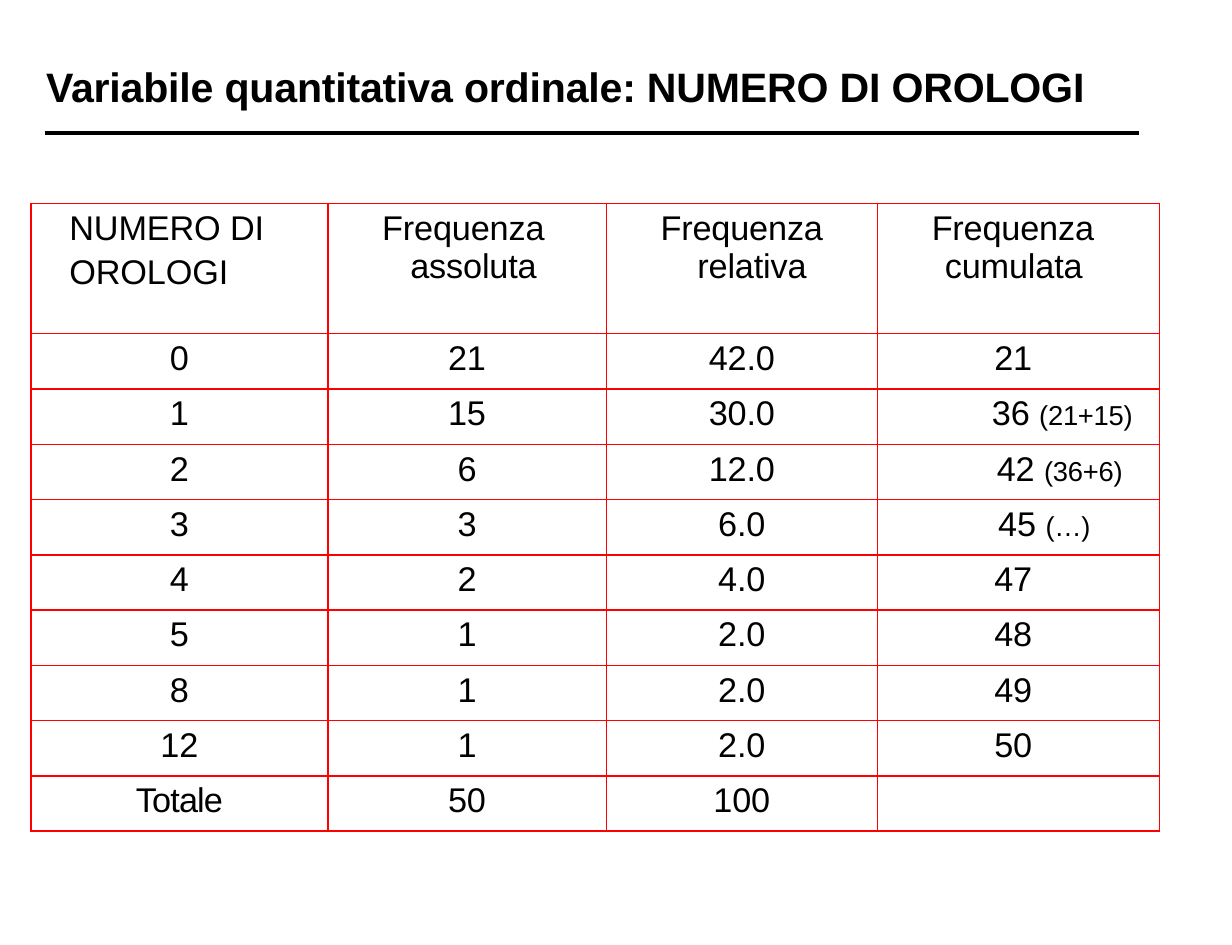
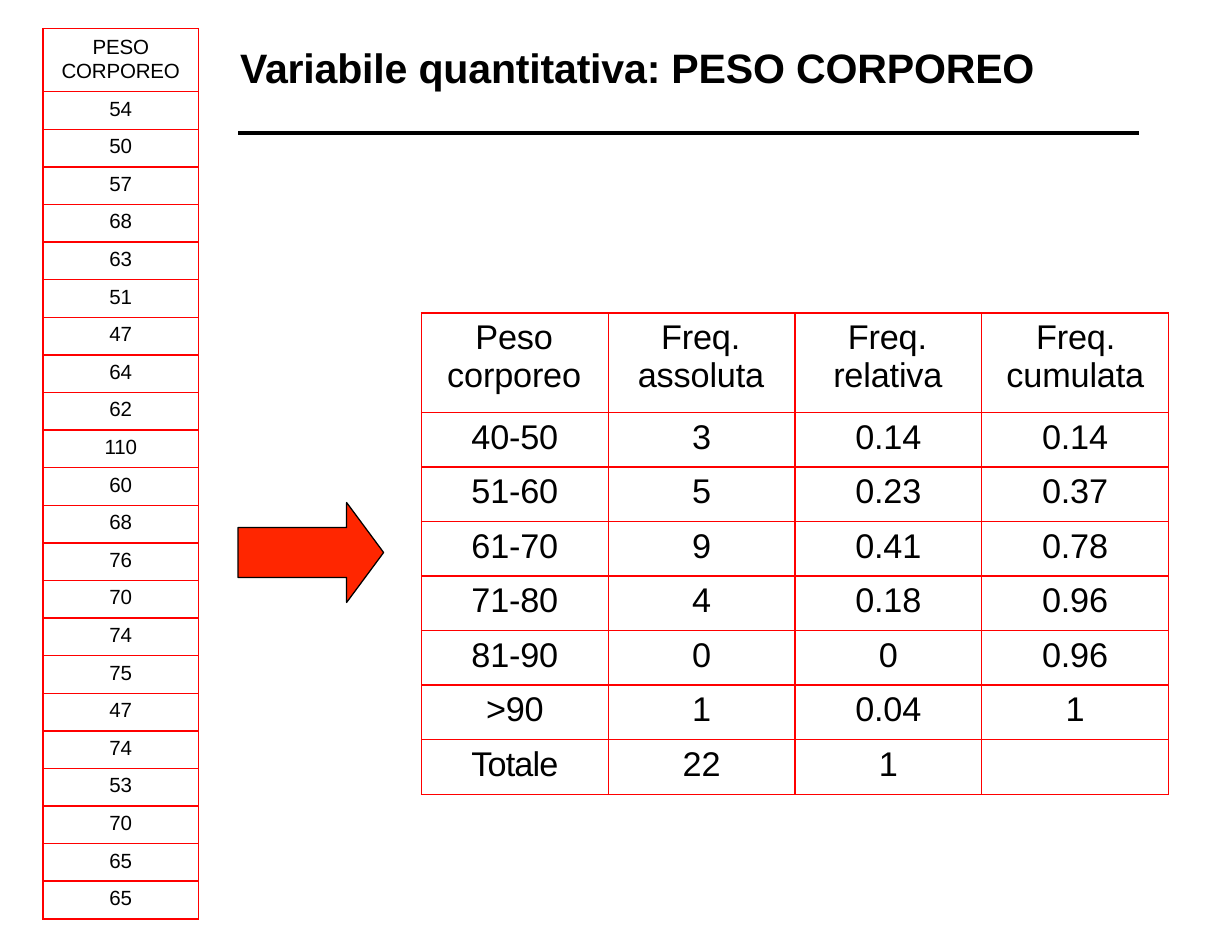
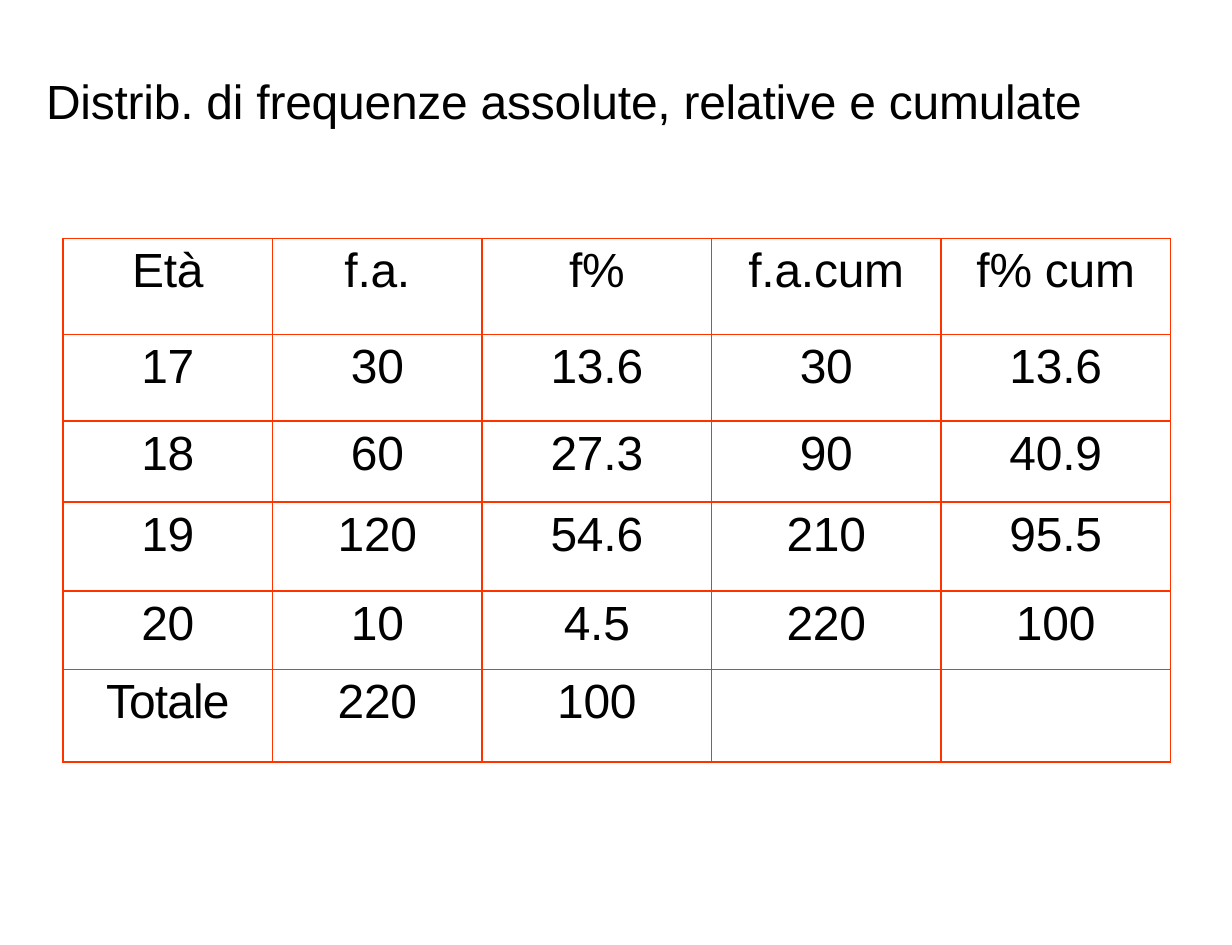
import dataclasses

import lxml.etree
import pptx
import pptx.dml.color
import pptx.enum.shapes
import pptx.enum.text
import pptx.oxml.ns
import pptx.util

Cm, Pt = pptx.util.Cm, pptx.util.Pt
RGB = pptx.dml.color.RGBColor.from_string
qn = pptx.oxml.ns.qn


@dataclasses.dataclass(frozen=True)
class Theme:
    font: str = "Arial"
    text: str = "000000"
    grid: str = "FF0000"
    grid_warm: str = "FF3300"
    arrow: str = "FF2600"
    title_size: int = 24
    large_size: int = 28
    table_size: int = 20
    note_size: int = 16
    small_size: int = 12
    tracking: float = -0.1
    total_tracking: float = -0.5


THEME = Theme()


@dataclasses.dataclass(frozen=True)
class Cell:
    """Left-aligned cell; left and first are the indents in cm."""
    text: str
    left: float
    first: float = 0
    note: str = ""
    before: float = 3.5
    leading: float = 0


# Lengths in the content are centimetres.
SLIDE_SIZE = (25.4, 19.48)
RULE_TOP, RULE_RIGHT = 2.74, 23.48

WATCHES = [
    [Cell("NUMERO DI\nOROLOGI", 1.73, -0.94), Cell("Frequenza assoluta", 1.7, -0.58),
     Cell("Frequenza relativa", 1.88, -0.76), Cell("Frequenza cumulata", 1.39, -0.27)],
    ["0", "21", "42.0", Cell("21", 2.41)],
    ["1", "15", "30.0", Cell("36 ", 2.36, note="(21+15)")],
    ["2", "6", "12.0", Cell("42 ", 2.46, note="(36+6)")],
    ["3", "3", "6.0", Cell("45 ", 2.49, note="(…)")],
    ["4", "2", "4.0", Cell("47", 2.41)],
    ["5", "1", "2.0", Cell("48", 2.41)],
    ["8", "1", "2.0", Cell("49", 2.41)],
    ["12", "1", "2.0", Cell("50", 2.41)],
    ["Totale", "50", "100", ""],
]

WEIGHTS = [54, 50, 57, 68, 63, 51, 47, 64, 62, 110, 60,
           68, 76, 70, 74, 75, 47, 74, 53, 70, 65, 65]
WEIGHT_LIST = [[Cell("PESO CORPOREO", 0.38, 0.64, before=4.3, leading=14)]]
WEIGHT_LIST += [[str(weight)] for weight in WEIGHTS]

WEIGHT_CLASSES = [
    [Cell("Peso corporeo", 0.53, 0.58), Cell("Freq. assoluta", 0.61, 0.48),
     Cell("Freq. relativa", 0.79, 0.3), Cell("Freq. cumulata", 0.51, 0.61)],
    ["40-50", "3", "0.14", "0.14"],
    ["51-60", "5", "0.23", "0.37"],
    ["61-70", "9", "0.41", "0.78"],
    ["71-80", "4", "0.18", "0.96"],
    ["81-90", "0", "0", "0.96"],
    [">90", "1", "0.04", "1"],
    ["Totale", "22", "1", ""],
]

AGES = [
    ["Età", "f.a.", "f%", "f.a.cum", "f% cum"],
    ["17", "30", "13.6", "30", "13.6"],
    ["18", "60", "27.3", "90", "40.9"],
    ["19", "120", "54.6", "210", "95.5"],
    ["20", "10", "4.5", "220", "100"],
    ["Totale", "220", "100", "", ""],
]

SLIDES = [
    dict(
        title=dict(text="Variabile quantitativa ordinale: NUMERO DI OROLOGI",
                   box=(0.92, 1.24, 22.15, 1.07), bold=True),
        rule_left=0.92,
        tables=[dict(rows=WATCHES, at=(0.64, 4.19), widths=[6.12, 5.74, 5.59, 5.82],
                     heights=[2.69] + [1.14] * 9)],
    ),
    dict(
        title=dict(text="Variabile quantitativa: PESO CORPOREO",
                   box=(4.92, 0.84, 16.56, 1.09), bold=True),
        rule_left=4.91,
        tables=[
            dict(rows=WEIGHT_LIST, at=(0.89, 0.59), widths=[3.2],
                 heights=[1.3] + [17.06 / len(WEIGHTS)] * len(WEIGHTS),
                 size=THEME.small_size),
            dict(rows=WEIGHT_CLASSES, at=(8.69, 6.45), widths=[3.85] * 4,
                 heights=[2.05] + [1.125] * 7),
        ],
        arrow=(4.91, 10.36, 3.0, 2.06),
    ),
    dict(
        title=dict(text="Distrib. di frequenze assolute, relative e cumulate",
                   box=(0.92, 1.45, 21.62, 1.24), size=THEME.large_size),
        tables=[dict(rows=AGES, at=(1.3, 4.92), widths=[4.32] * 2 + [4.73] * 3,
                     heights=[1.97, 1.79, 1.67, 1.83, 1.62, 1.91],
                     size=THEME.large_size, color=THEME.grid_warm)],
    ),
]


def add_text(paragraph, text, *, size, bold=False, tracking=THEME.tracking):
    run = paragraph.add_run()
    run.text = text
    run.font.name = THEME.font
    run.font.size = Pt(size)
    run.font.bold = bold
    run.font.color.rgb = RGB(THEME.text)
    run.font._element.set("spc", str(round(tracking * 100)))


def set_indent(paragraph, left, first):
    properties = paragraph._p.get_or_add_pPr()
    properties.set("marL", str(Cm(left)))
    properties.set("indent", str(Cm(first)))


def set_insets(area, top):
    area.margin_left = area.margin_right = area.margin_bottom = 0
    area.margin_top = Cm(top)


def set_borders(cell, color):
    properties = cell._tc.get_or_add_tcPr()
    for side in ("a:lnL", "a:lnR", "a:lnT", "a:lnB"):
        line = lxml.etree.SubElement(properties, qn(side), w=str(Pt(1)))
        fill = lxml.etree.SubElement(line, qn("a:solidFill"))
        lxml.etree.SubElement(fill, qn("a:srgbClr"), val=color)


def fill_cell(cell, content, size):
    frame = cell.text_frame
    indented = isinstance(content, Cell)
    text = content.text if indented else content
    for number, line in enumerate(text.split("\n")):
        paragraph = frame.add_paragraph() if number else frame.paragraphs[0]
        paragraph.space_before = Pt(content.before if indented else 3.5)
        if indented:
            paragraph.alignment = pptx.enum.text.PP_ALIGN.LEFT
            set_indent(paragraph, content.left, content.first)
            if content.leading:
                paragraph.line_spacing = Pt(content.leading)
        else:
            paragraph.alignment = pptx.enum.text.PP_ALIGN.CENTER
        if line:
            tracking = THEME.total_tracking if line == "Totale" else THEME.tracking
            add_text(paragraph, line, size=size, tracking=tracking)
        if indented and content.note:
            add_text(paragraph, content.note, size=THEME.note_size)


def add_table(slide, rows, at, widths, heights, size=THEME.table_size, color=THEME.grid):
    left, top = at
    table = slide.shapes.add_table(
        len(rows), len(widths), Cm(left), Cm(top),
        Cm(sum(widths)), Cm(sum(heights))).table
    table.first_row = table.horz_banding = False
    for column, width in zip(table.columns, widths):
        column.width = Cm(width)
    for row, height, contents in zip(table.rows, heights, rows):
        row.height = Cm(height)
        for cell, content in zip(row.cells, contents):
            set_insets(cell, 0.12)
            set_borders(cell, color)
            cell.fill.background()
            fill_cell(cell, content, size)


def set_title(slide, text, box, size=THEME.title_size, bold=False):
    title = slide.shapes.title
    title.left, title.top, title.width, title.height = map(Cm, box)
    frame = title.text_frame
    frame.word_wrap = True
    frame.auto_size = pptx.enum.text.MSO_AUTO_SIZE.NONE
    frame.vertical_anchor = pptx.enum.text.MSO_ANCHOR.TOP
    set_insets(frame, 0.03)
    paragraph = frame.paragraphs[0]
    paragraph.alignment = pptx.enum.text.PP_ALIGN.LEFT
    paragraph.space_before = Pt(0.9)
    set_indent(paragraph, 0.03, 0)
    add_text(paragraph, text, size=size, bold=bold)


def add_rule(slide, left):
    rule = slide.shapes.add_connector(
        pptx.enum.shapes.MSO_CONNECTOR.STRAIGHT,
        Cm(left), Cm(RULE_TOP), Cm(RULE_RIGHT), Cm(RULE_TOP))
    rule.line.color.rgb = RGB(THEME.text)
    rule.line.width = Pt(2)
    lxml.etree.SubElement(rule._element.spPr, qn("a:effectLst"))


def add_arrow(slide, box):
    arrow = slide.shapes.add_shape(
        pptx.enum.shapes.MSO_SHAPE.RIGHT_ARROW, *map(Cm, box))
    arrow.adjustments[0] = 0.5
    arrow.adjustments[1] = 0.37
    arrow.shadow.inherit = False
    arrow.fill.solid()
    arrow.fill.fore_color.rgb = RGB(THEME.arrow)
    arrow.line.color.rgb = RGB(THEME.text)
    arrow.line.width = Pt(0.75)


def main():
    presentation = pptx.Presentation()
    presentation.slide_width, presentation.slide_height = map(Cm, SLIDE_SIZE)
    title_only = presentation.slide_layouts.get_by_name("Title Only")
    for content in SLIDES:
        slide = presentation.slides.add_slide(title_only)
        set_title(slide, **content["title"])
        for table in content["tables"]:
            add_table(slide, **table)
        if "arrow" in content:
            add_arrow(slide, content["arrow"])
        if "rule_left" in content:
            add_rule(slide, content["rule_left"])
    presentation.save("out.pptx")


if __name__ == "__main__":
    main()
